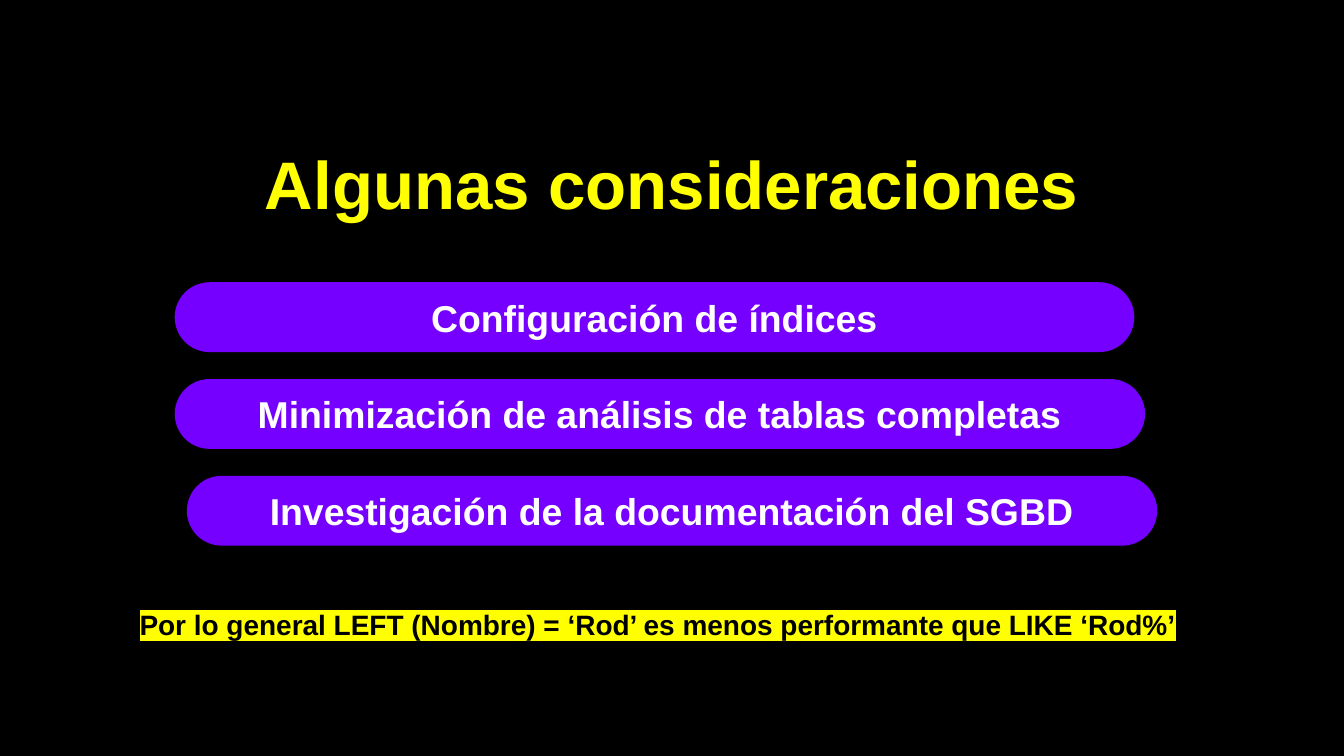
from lxml.etree import SubElement
from pptx import Presentation
from pptx.dml.color import RGBColor
from pptx.enum.shapes import MSO_SHAPE
from pptx.enum.text import MSO_ANCHOR, MSO_AUTO_SIZE, PP_ALIGN
from pptx.oxml.ns import qn
from pptx.util import Inches, Pt

BLACK = RGBColor(0x00, 0x00, 0x00)
WHITE = RGBColor(0xFF, 0xFF, 0xFF)
VIOLET = RGBColor(0x76, 0x00, 0xFF)
TITLE_YELLOW = RGBColor(0xFF, 0xFF, 0x01)
MARKER_YELLOW = RGBColor(0xFF, 0xFF, 0x00)

SLIDE_WIDTH = 10
SLIDE_HEIGHT = SLIDE_WIDTH * 9 / 16

CONSIDERATIONS = [
    ("Configuración de índices", 1.3, 7.14),
    ("Minimización de análisis de tablas completas", 1.3, 7.22),
    ("Investigación de la documentación del SGBD", 1.39, 7.22),
]
FIRST_TOP = 2.1
PILL_PITCH = 0.72
PILL_HEIGHT = 0.52


def set_attributes(target, values):
    for name, value in values.items():
        setattr(target, name, value)


def write_text(shape, text, size, color, alignment, anchor, auto_size=MSO_AUTO_SIZE.NONE):
    frame = shape.text_frame
    margins = ("margin_left", "margin_top", "margin_right", "margin_bottom")
    set_attributes(frame, dict.fromkeys(margins, Inches(0.1)))
    set_attributes(frame, {
        "word_wrap": True,
        "auto_size": auto_size,
        "vertical_anchor": anchor,
    })
    paragraph = frame.paragraphs[0]
    paragraph.alignment = alignment
    run = paragraph.add_run()
    run.text = text
    set_attributes(run.font, {"name": "Arial", "size": Pt(size), "bold": True})
    run.font.color.rgb = color
    return run


def highlight(run, color):
    properties = run.font._element
    marker = SubElement(properties, qn("a:highlight"))
    SubElement(marker, qn("a:srgbClr"), val=str(color))
    properties.find(qn("a:solidFill")).addnext(marker)


def add_title(slide, text):
    title = slide.shapes.title
    set_attributes(title, {
        "left": Inches(0),
        "top": Inches(0.82),
        "width": Inches(SLIDE_WIDTH),
        "height": Inches(1.08),
    })
    write_text(title, text, 36, TITLE_YELLOW, PP_ALIGN.CENTER, MSO_ANCHOR.MIDDLE)


def add_pill(slide, text, left, top, width):
    pill = slide.shapes.add_shape(
        MSO_SHAPE.ROUNDED_RECTANGLE,
        Inches(left), Inches(top), Inches(width), Inches(PILL_HEIGHT),
    )
    pill.adjustments[0] = 0.5
    pill.shadow.inherit = False
    pill.fill.solid()
    pill.fill.fore_color.rgb = VIOLET
    pill.line.fill.background()
    write_text(pill, text, 20, WHITE, PP_ALIGN.CENTER, MSO_ANCHOR.MIDDLE)


def add_note(slide, text):
    note = slide.shapes.add_textbox(Inches(0.94), Inches(4.42), Inches(8.97), Inches(0.45))
    run = write_text(
        note, text, 15, BLACK, PP_ALIGN.LEFT, MSO_ANCHOR.TOP, MSO_AUTO_SIZE.SHAPE_TO_FIT_TEXT
    )
    highlight(run, MARKER_YELLOW)


def main():
    presentation = Presentation()
    set_attributes(presentation, {
        "slide_width": Inches(SLIDE_WIDTH),
        "slide_height": Inches(SLIDE_HEIGHT),
    })
    slide = presentation.slides.add_slide(presentation.slide_layouts.get_by_name("Title Only"))
    slide.background.fill.solid()
    slide.background.fill.fore_color.rgb = BLACK

    add_title(slide, "Algunas consideraciones")
    for index, (text, left, width) in enumerate(CONSIDERATIONS):
        add_pill(slide, text, left, FIRST_TOP + index * PILL_PITCH, width)
    add_note(slide, "Por lo general LEFT (Nombre) = ‘Rod’ es menos performante que LIKE ‘Rod%’")

    presentation.save("out.pptx")


if __name__ == "__main__":
    main()
